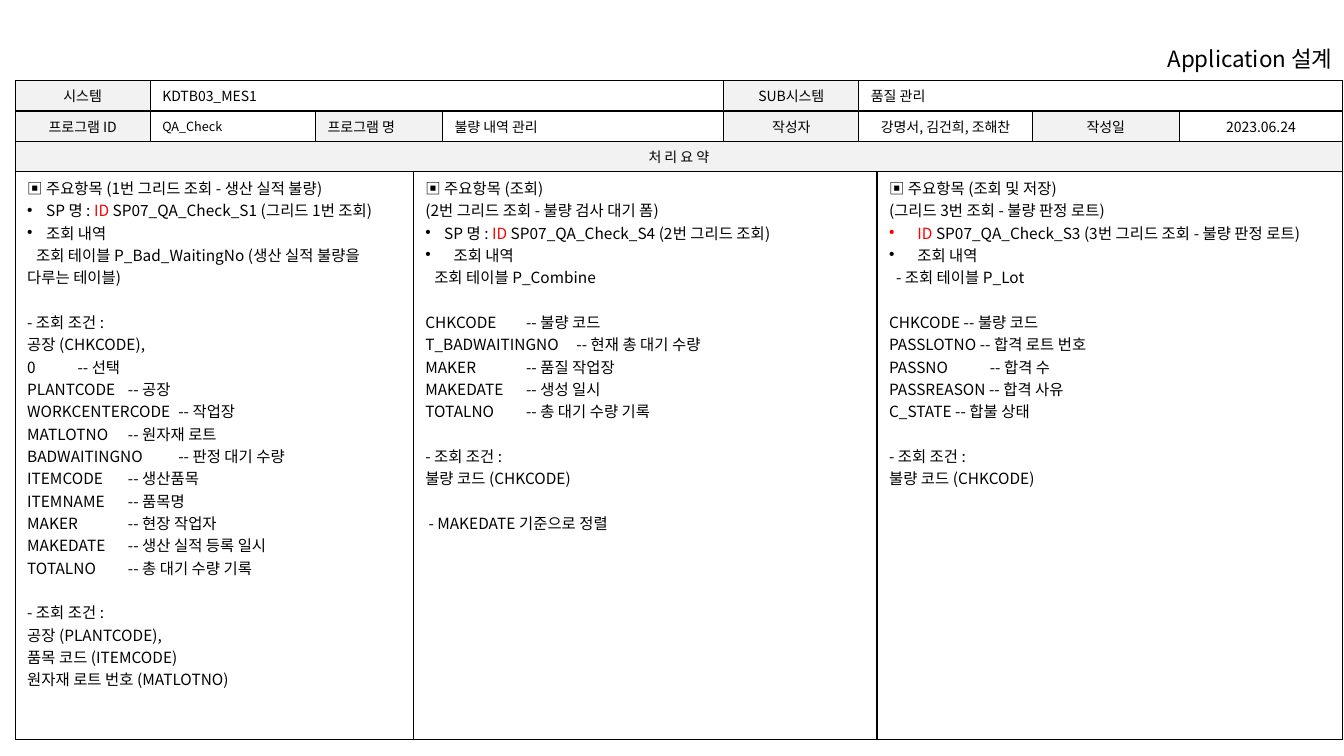
from dataclasses import dataclass

from pptx import Presentation
from pptx import util as u
from pptx.dml import color
from pptx.enum import text
from pptx.oxml import xmlchemy

FONT = "Noto Sans CJK KR"
BLACK, RED, GREY, WHITE = "000000", "FF0000", "F2F2F2", "FFFFFF"
LEFT, CENTER, RIGHT = text.PP_ALIGN.LEFT, text.PP_ALIGN.CENTER, text.PP_ALIGN.RIGHT
LINE_HEIGHT = 15.93
COLUMN_WIDTHS = (96.5, 118.1, 69.8, 20.9, 200.9, 96.5, 13, 110.9, 105.1, 116.6)
ROW_HEIGHTS = (20.3, 20.3, 20.3, 406)


@dataclass(frozen=True)
class Line:
    text: str
    lead: str = ""
    red: str = ""
    bullet: float = 0
    first_indent: float = 0
    gap: bool = False
    tab: float = 0


@dataclass(frozen=True)
class Cell:
    row: int
    column: int
    span: int
    lines: tuple[Line, ...]
    label: bool = False
    align: text.PP_ALIGN = LEFT
    size: float = 10


def rgb(value: str) -> color.RGBColor:
    return color.RGBColor.from_string(value)


def add_element(parent, tag: str, **attributes: str):
    element = xmlchemy.OxmlElement(tag)
    for name, value in attributes.items():
        element.set(name, value)
    parent.append(element)
    return element


def style_font(font, size: float, colour: str) -> None:
    font.name = FONT
    font.size = u.Pt(size)
    font.color.rgb = rgb(colour)


def write_line(paragraph, line: Line, size: float, align: text.PP_ALIGN) -> None:
    properties = paragraph._p.get_or_add_pPr()
    properties.set("marL", str(u.Pt(line.bullet)))
    properties.set("indent", str(u.Pt(line.first_indent - line.bullet)))
    if line.bullet:
        add_element(properties, "a:buFont", typeface="Arial")
        add_element(properties, "a:buChar", char="•")
    else:
        add_element(properties, "a:buNone")
    if line.tab:
        tabs = add_element(properties, "a:tabLst")
        add_element(tabs, "a:tab", pos=str(u.Pt(line.tab)), algn="l")
    paragraph.alignment = align
    paragraph.space_before = u.Pt(LINE_HEIGHT if line.gap else 0)
    style_font(paragraph.font, size, BLACK)
    for content, colour in ((line.lead, BLACK), (line.red, RED), (line.text, BLACK)):
        if content:
            run = paragraph.add_run()
            run.text = content
            style_font(run.font, size, colour)
            add_element(run._r.get_or_add_rPr(), "a:ea", typeface=FONT)


def add_borders(cell) -> None:
    properties = cell._tc.get_or_add_tcPr()
    for position, side in enumerate(("a:lnL", "a:lnR", "a:lnT", "a:lnB")):
        border = add_element(properties, side, w=str(u.Pt(1)))
        fill = add_element(border, "a:solidFill")
        add_element(fill, "a:srgbClr", val=BLACK)
        properties.insert(position, border)


def fill_cell(table, entry: Cell) -> None:
    cell = table.cell(entry.row, entry.column)
    if entry.span > 1:
        cell.merge(table.cell(entry.row, entry.column + entry.span - 1))
    cell.fill.solid()
    cell.fill.fore_color.rgb = rgb(GREY if entry.label else WHITE)
    cell.margin_left = cell.margin_right = u.Pt(8.64)
    cell.margin_top = cell.margin_bottom = u.Pt(3.6)
    is_detail = entry.row == len(ROW_HEIGHTS) - 1
    cell.vertical_anchor = text.MSO_ANCHOR.TOP if is_detail else text.MSO_ANCHOR.MIDDLE
    for index, line in enumerate(entry.lines):
        frame = cell.text_frame
        paragraph = frame.add_paragraph() if index else frame.paragraphs[0]
        write_line(paragraph, line, entry.size, entry.align)


def label(row: int, column: int, content: str, span: int = 1, align: text.PP_ALIGN = CENTER) -> Cell:
    return Cell(row, column, span, (Line(content),), True, align)


def value(row: int, column: int, content: str, span: int = 1, align: text.PP_ALIGN = LEFT, size: float = 10) -> Cell:
    return Cell(row, column, span, (Line(content),), False, align, size)


def field(name: str, meaning: str, tab: float, gap: bool = False) -> Line:
    return Line(f"{name}\t-- {meaning}", tab=tab, gap=gap)


CONDITION = Line("- 조회 조건 :", gap=True)
DEFECT_CODE = Line("불량 코드 (CHKCODE)")

PRODUCTION_DEFECTS = (
    Line("▣ 주요항목 (1번 그리드 조회 - 생산 실적 불량)"),
    Line("SP07_QA_Check_S1 (그리드 1번 조회)", "SP 명 : ", "ID ", bullet=13.5),
    Line("조회 내역", bullet=13.5),
    Line("조회 테이블 P_Bad_WaitingNo (생산 실적 불량을 다루는 테이블)", first_indent=6.4),
    CONDITION,
    Line("공장 (CHKCODE),"),
    field("0", "선택", 80),
    field("PLANTCODE", "공장", 101.4),
    field("WORKCENTERCODE", "작업장", 107),
    field("MATLOTNO", "원자재 로트", 95),
    field("BADWAITINGNO", "판정 대기 수량", 102),
    field("ITEMCODE", "생산품목", 99.3),
    field("ITEMNAME", "품목명", 95),
    field("MAKER", "현장 작업자", 88),
    field("MAKEDATE", "생산 실적 등록 일시", 93),
    field("TOTALNO", "총 대기 수량 기록", 91.4),
    CONDITION,
    Line("공장 (PLANTCODE),"),
    Line("품목 코드 (ITEMCODE)"),
    Line("원자재 로트 번호 (MATLOTNO)"),
)
INSPECTION_QUEUE = (
    Line("▣ 주요항목 (조회)"),
    Line("(2번 그리드 조회 - 불량 검사 대기 폼)"),
    Line("SP07_QA_Check_S4 (2번 그리드 조회)", "SP 명 : ", "ID ", bullet=13.5),
    Line("조회 내역", bullet=20.25),
    Line("조회 테이블 P_Combine", first_indent=6.4),
    field("CHKCODE", "불량 코드", 82, gap=True),
    field("T_BADWAITINGNO", "현재 총 대기 수량", 100),
    field("MAKER", "품질 작업장", 80),
    field("MAKEDATE", "생성 일시", 85),
    field("TOTALNO", "총 대기 수량 기록", 83),
    CONDITION,
    DEFECT_CODE,
    Line("- MAKEDATE 기준으로 정렬", first_indent=2.3, gap=True),
)
LOT_JUDGEMENT = (
    Line("▣ 주요항목 (조회 및 저장)"),
    Line("(그리드 3번 조회 - 불량 판정 로트)"),
    Line("SP07_QA_Check_S3 (3번 그리드 조회 - 불량 판정 로트)", red="ID ", bullet=20.25),
    Line("조회 내역", bullet=20.25),
    Line("- 조회 테이블 P_Lot", first_indent=5),
    Line("CHKCODE -- 불량 코드", gap=True),
    Line("PASSLOTNO -- 합격 로트 번호"),
    field("PASSNO", "합격 수", 49.3),
    Line("PASSREASON -- 합격 사유"),
    Line("C_STATE -- 합불 상태"),
    CONDITION,
    DEFECT_CODE,
)

CELLS = (
    label(0, 0, "시스템"),
    value(0, 1, "KDTB03_MES1", 4),
    label(0, 5, "SUB시스템"),
    value(0, 6, "품질 관리", 4),
    label(1, 0, "프로그램 ID"),
    value(1, 1, "QA_Check", size=9),
    label(1, 2, "프로그램 명", 2, LEFT),
    value(1, 4, "불량 내역 관리"),
    label(1, 5, "작성자"),
    value(1, 6, "강명서, 김건희, 조해찬", 2, CENTER),
    label(1, 8, "작성일"),
    value(1, 9, "2023.06.24", align=CENTER),
    label(2, 0, "처 리 요 약", 10),
    Cell(3, 0, 3, PRODUCTION_DEFECTS, size=11),
    Cell(3, 3, 4, INSPECTION_QUEUE, size=11),
    Cell(3, 7, 3, LOT_JUDGEMENT, size=11),
)

presentation = Presentation()
presentation.slide_width, presentation.slide_height = u.Pt(960), u.Pt(540)
slide = presentation.slides.add_slide(presentation.slide_layouts[5])

title = slide.shapes.title
title.left, title.top, title.width, title.height = u.Pt(745.2), u.Pt(28.8), u.Pt(213.8), u.Pt(23.8)
title.text_frame.auto_size = text.MSO_AUTO_SIZE.NONE
title.text_frame.word_wrap = True
title.text_frame.vertical_anchor = text.MSO_ANCHOR.TOP
write_line(title.text_frame.paragraphs[0], Line("Application 설계"), 16, RIGHT)

table = slide.shapes.add_table(
    len(ROW_HEIGHTS), len(COLUMN_WIDTHS), u.Pt(10.8), u.Pt(57.6),
    u.Pt(sum(COLUMN_WIDTHS)), u.Pt(sum(ROW_HEIGHTS)),
).table
table.first_row = table.horz_banding = False
for column, width in zip(table.columns, COLUMN_WIDTHS):
    column.width = u.Pt(width)
for row, height in zip(table.rows, ROW_HEIGHTS):
    row.height = u.Pt(height)
for entry in CELLS:
    fill_cell(table, entry)
for cell in table.iter_cells():
    add_borders(cell)

presentation.save("out.pptx")
